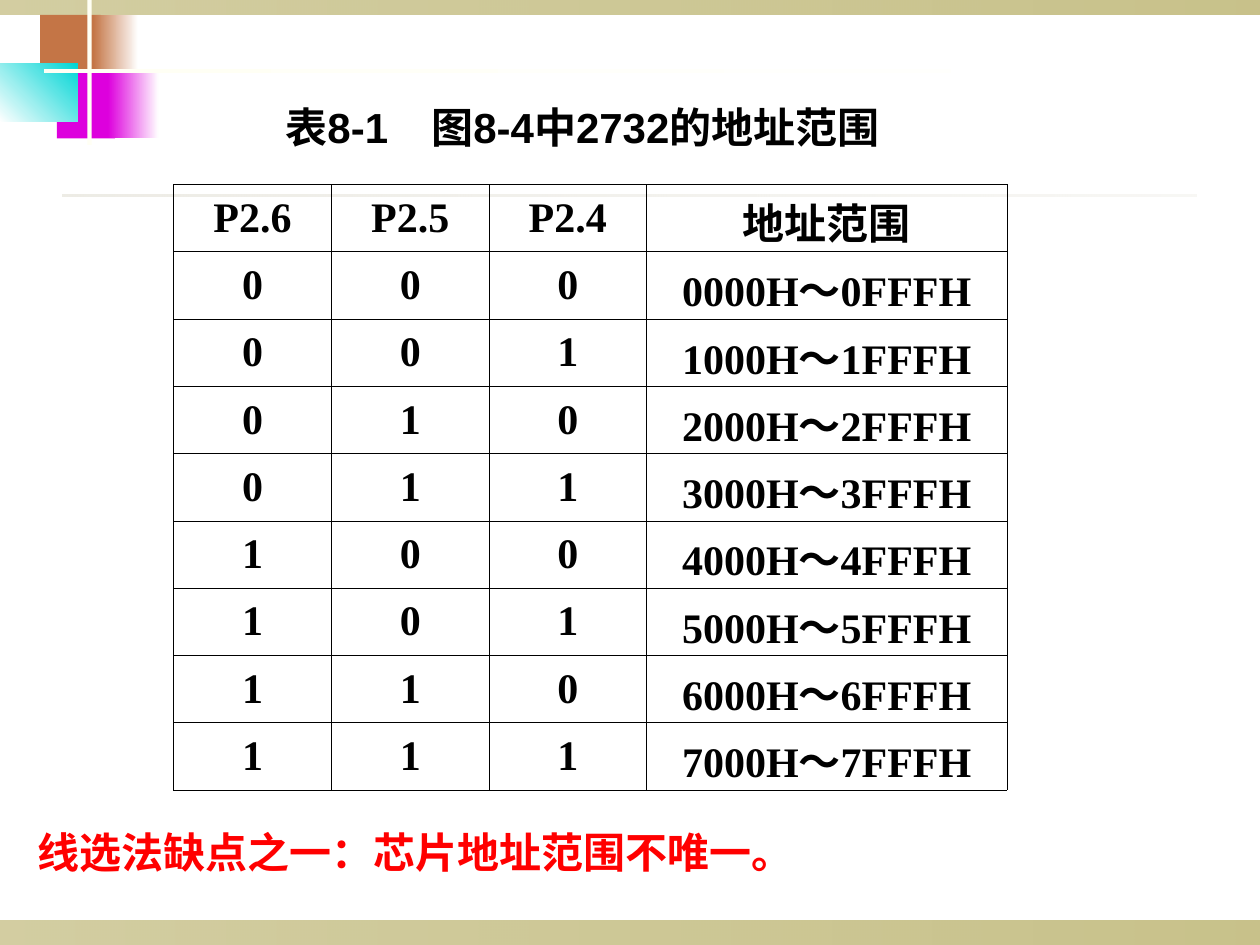
from dataclasses import dataclass

from lxml.etree import SubElement
from pptx import Presentation
from pptx.dml.color import RGBColor
from pptx.enum.shapes import MSO_SHAPE as Shape
from pptx.enum.text import MSO_ANCHOR as Anchor, MSO_AUTO_SIZE as AutoSize, PP_ALIGN as Align
from pptx.oxml.ns import qn
from pptx.util import Cm, Pt


@dataclass(frozen=True)
class Theme:
    olive: str = "918415"
    copper: str = "C47546"
    magenta: str = "DD00DD"
    cyan: str = "00D5D5"
    ivory: str = "FFFFF4"
    white: str = "FFFFFF"
    rule: str = "DCD9CC"
    ink: str = "000000"
    warning: str = "FF0000"
    text_size: float = 24
    border_width: float = 0.45
    title_font: str = "Arial"
    table_font: str = "Times New Roman"
    note_font: str = "Karla"


theme = Theme()


def add_span(para, text, font_name, color):
    span = para.add_run()
    span.text = text
    span.font.name = font_name
    span.font.size = Pt(theme.text_size)
    span.font.bold = True
    span.font.color.rgb = RGBColor.from_string(color)


def add_bar(page, place, colors, opacities=(100, 100), angle=0):
    bar = page.shapes.add_shape(Shape.RECTANGLE, *(Cm(length) for length in place))
    bar.shadow.inherit = False
    bar.line.fill.background()
    if len(colors) == 1:
        bar.fill.solid()
        bar.fill.fore_color.rgb = RGBColor.from_string(colors[0])
        return
    bar.fill.gradient()
    bar.fill.gradient_angle = angle
    for stop, color in zip(bar.fill.gradient_stops, colors):
        stop.color.rgb = RGBColor.from_string(color)
    for tone, opacity in zip(bar.element.spPr.iter(qn("a:srgbClr")), opacities):
        if opacity < 100:
            SubElement(tone, qn("a:alpha"), val=str(opacity * 1000))


deck = Presentation()
deck.slide_width, deck.slide_height = Cm(25.4), Cm(19.05)
page = deck.slides.add_slide(deck.slide_layouts[5])

for top, height in ((18.55, 0.5), (0, 0.3)):
    add_bar(page, (0, top, 25.4, height), (theme.olive, theme.olive), (40, 50))

add_bar(page, (0.81, 0.3, 1.22, 1.32), (theme.copper,))
add_bar(page, (1.88, 0.3, 0.91, 1.32), (theme.copper, theme.white))
add_bar(page, (1.15, 1.47, 1.17, 1.32), (theme.magenta,))
add_bar(page, (2.18, 1.47, 1.02, 1.32), (theme.magenta, theme.white))
add_bar(page, (0, 1.28, 1.56, 1.18), (theme.white, theme.cyan), angle=45)
add_bar(page, (1.76, 0, 0.09, 2.92), (theme.ivory,))
add_bar(page, (0.89, 1.4, 22.86, 0.08), (theme.ivory, theme.white))
add_bar(page, (1.27, 3.92, 22.86, 0.05), (theme.rule, theme.rule), (50, 20))

title = page.shapes.title
title.left, title.top, title.width, title.height = Cm(5.5), Cm(1.91), Cm(14.6), Cm(1.27)
title.text_frame.auto_size = AutoSize.NONE
title.text_frame.vertical_anchor = Anchor.MIDDLE
para = title.text_frame.paragraphs[0]
para.alignment = Align.LEFT
tabs = SubElement(para._p.get_or_add_pPr(), qn("a:tabLst"))
SubElement(tabs, qn("a:tab"), pos=str(Cm(2.94)), algn="l")
add_span(para, "表8-1\t图8-4中2732的地址范围", theme.title_font, theme.ink)

rows = [("P2.6", "P2.5", "P2.4", "地址范围")]
for chip in range(8):
    rows.append((*f"{chip:03b}", f"{chip}000H～{chip}FFFH"))

column_widths = (3.18, 3.18, 3.17, 7.27)
frame = page.shapes.add_table(
    len(rows), len(column_widths), Cm(3.5), Cm(3.72), Cm(sum(column_widths)), Cm(12.19)
)
table = frame.table
table.first_row = False
table.horz_banding = False
for column, width in zip(table.columns, column_widths):
    column.width = Cm(width)

for row_index, values in enumerate(rows):
    for column_index, value in enumerate(values):
        cell = table.cell(row_index, column_index)
        cell.vertical_anchor = Anchor.MIDDLE
        if column_index == len(column_widths) - 1:
            cell.margin_bottom = Cm(0)
        properties = cell._tc.get_or_add_tcPr()
        for side in ("L", "R", "T", "B"):
            border = SubElement(properties, qn(f"a:ln{side}"), w=str(Pt(theme.border_width)))
            paint = SubElement(border, qn("a:solidFill"))
            SubElement(paint, qn("a:srgbClr"), val=theme.ink)
        cell.fill.background()
        para = cell.text_frame.paragraphs[0]
        para.alignment = Align.CENTER
        add_span(para, value, theme.table_font, theme.ink)

note = page.shapes.add_textbox(Cm(0.51), Cm(16.54), Cm(18.59), Cm(1.27))
note.text_frame.word_wrap = True
add_span(
    note.text_frame.paragraphs[0],
    "线选法缺点之一：芯片地址范围不唯一。",
    theme.note_font,
    theme.warning,
)

deck.save("out.pptx")
